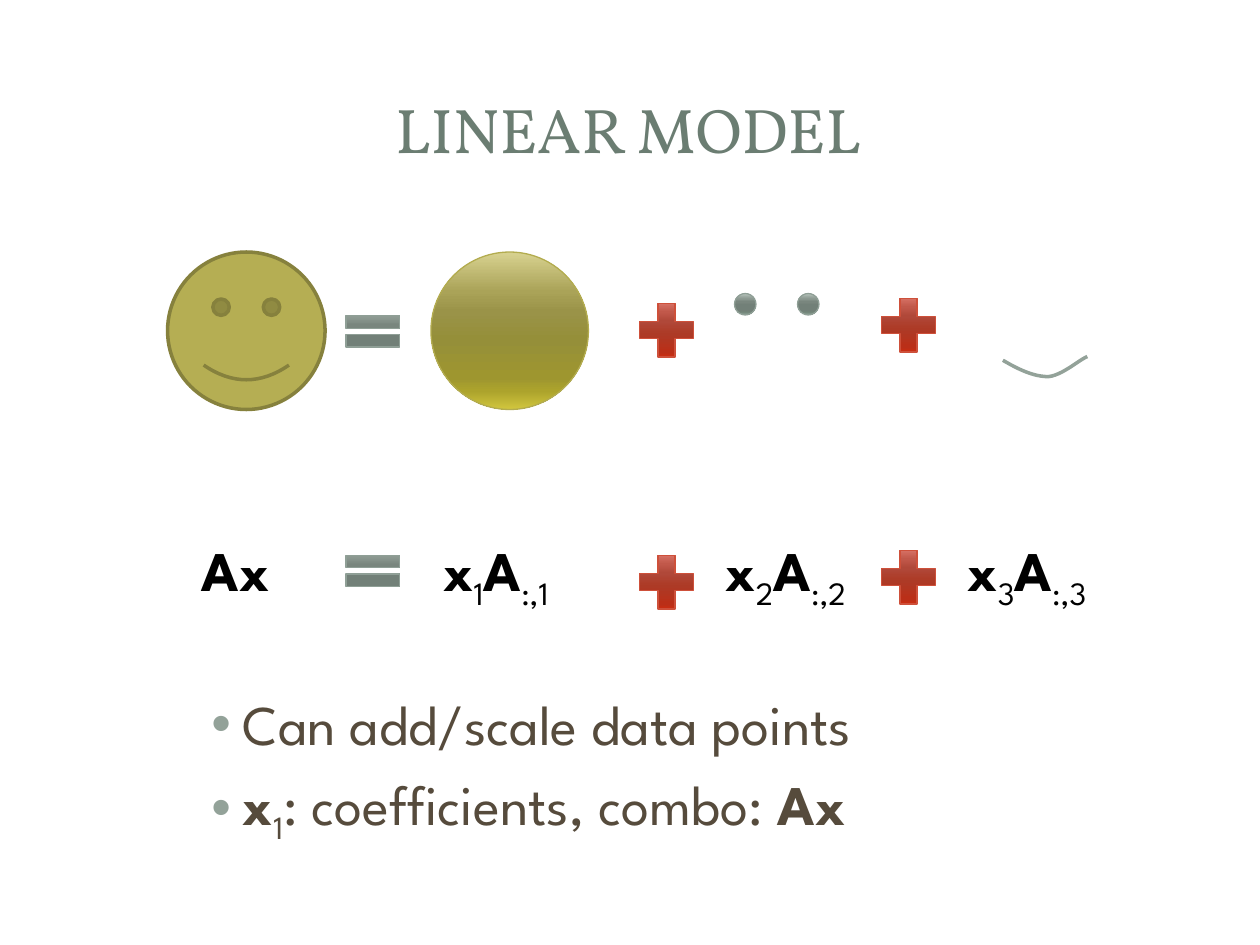
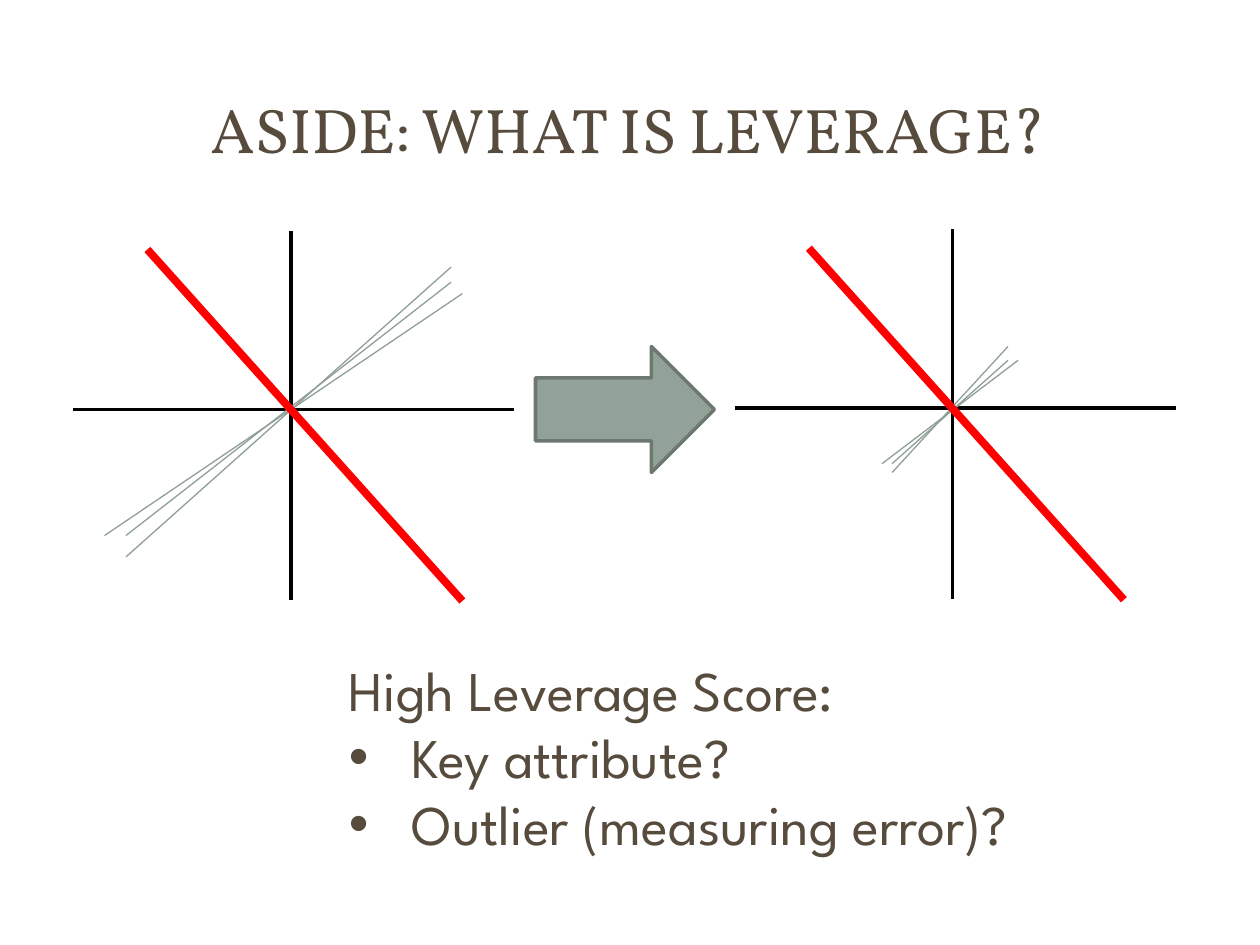
"""Build two slides: a linear model as a sum of parts, and an aside on leverage."""
import dataclasses
import typing

import lxml.etree
import pptx
import pptx.dml.color
import pptx.enum.shapes
import pptx.enum.text
import pptx.oxml.ns
import pptx.shapes.autoshape
import pptx.slide
import pptx.util

Inches = pptx.util.Inches
Pt = pptx.util.Pt
SHAPE = pptx.enum.shapes.MSO_SHAPE
qn = pptx.oxml.ns.qn


@dataclasses.dataclass(frozen=True)
class Gloss:
    """Colours of a glossy vertical gradient and its outline."""
    stops: tuple[str, ...]
    line: str


@dataclasses.dataclass(frozen=True)
class Theme:
    """Colours, fonts and sizes shared by the slides."""
    paper: str = "FFFFFF"
    ink: str = "000000"
    brown: str = "564B3C"
    title_green: str = "6B7D72"
    sage: str = "93A299"
    sage_edge: str = "6D7871"
    ray: str = "8F9F96"
    red: str = "FF0000"
    face: str = "B5AE53"
    face_edge: str = "86813D"
    title_font: str = "Vollkorn"
    body_font: str = "League Spartan"
    title_size: float = 36
    body_size: float = 32
    thin: float = 0.75
    medium: float = 2
    thick: float = 4.5
    gloss_positions: tuple[int, ...] = (0, 25, 38, 55, 80, 88, 100)
    olive: Gloss = Gloss(
        ("D8D290", "AAA358", "9A9348", "958F39", "9E962F", "ACA32C", "D0C53D"), "B3AC4F")
    grey: Gloss = Gloss(
        ("B6C3BB", "8B9890", "79867E", "728078", "708176", "75887C", "91A79A"), "8F9F96")
    brick: Gloss = Gloss(
        ("EF8E85", "C1584A", "B04839", "AD3A26", "BA2F18", "CD2C10", "F63D1F"), "CE503A")


THEME = Theme()


class Box(typing.NamedTuple):
    """Left, top, width and height in inches."""
    left: float
    top: float
    width: float
    height: float


class Point(typing.NamedTuple):
    """A position or offset in inches."""
    x: float
    y: float


class Run(typing.NamedTuple):
    """A piece of text, bold or subscript where asked."""
    text: str
    bold: bool = False
    sub: bool = False


class Para(typing.NamedTuple):
    """Runs of one paragraph with its bullet and spacing."""
    runs: tuple[Run, ...]
    hanging: tuple[float, float] | None = None
    bullet_color: str | None = None
    space_before: float = 0


class Ray(typing.NamedTuple):
    """A line given by offsets from the origin of its plot."""
    start: Point
    end: Point
    color: str = THEME.ray
    width: float = THEME.thin


AXES = (
    Ray(Point(-1.73, 0), Point(1.77, 0), THEME.ink, THEME.medium),
    Ray(Point(0, -1.42), Point(0, 1.51), THEME.ink, THEME.medium),
)
OUTLIER = Ray(Point(-1.14, -1.27), Point(1.36, 1.52), THEME.red, THEME.thick)
LONG_RAYS = (
    Ray(Point(-1.48, 1), Point(1.36, -0.92)),
    Ray(Point(-1.31, 1.17), Point(1.27, -1.13)),
    Ray(Point(-1.31, 1), Point(1.27, -1.01)),
)
SHORT_RAYS = (
    Ray(Point(-0.56, 0.44), Point(0.52, -0.38)),
    Ray(Point(-0.48, 0.51), Point(0.44, -0.49)),
    Ray(Point(-0.48, 0.44), Point(0.44, -0.38)),
)
SMILE = (
    (Point(7.96, 2.86), Point(8.08, 2.93), Point(8.2, 2.99), Point(8.32, 2.99)),
    (Point(8.32, 2.99), Point(8.43, 2.98), Point(8.56, 2.86), Point(8.63, 2.83)),
)


def rgb(color: str) -> pptx.dml.color.RGBColor:
    """Turn a hex string into a colour."""
    return pptx.dml.color.RGBColor.from_string(color)


def add_text(slide: pptx.slide.Slide, box: Box, paras: typing.Sequence[Para],
             color: str, font: str = THEME.body_font,
             size: float = THEME.body_size, title: bool = False) -> None:
    """Add a wrapping text box, centred when it is a title."""
    tf = slide.shapes.add_textbox(*map(Inches, box)).text_frame
    tf.word_wrap = True
    if title:
        tf.vertical_anchor = pptx.enum.text.MSO_ANCHOR.MIDDLE
    for i, para in enumerate(paras):
        p = tf.paragraphs[0] if i == 0 else tf.add_paragraph()
        if title:
            p.alignment = pptx.enum.text.PP_ALIGN.CENTER
        if para.space_before:
            p.space_before = Pt(para.space_before)
        if para.hanging:
            add_bullet(p, para)
        p.font.name = font
        p.font.size = Pt(size)
        p.font.color.rgb = rgb(color)
        for run in para.runs:
            r = p.add_run()
            r.text = run.text
            if run.bold:
                r.font.bold = True
            if run.sub:
                r._r.get_or_add_rPr().set("baseline", "-25000")


def add_bullet(p: typing.Any, para: Para) -> None:
    """Give a paragraph a hanging round bullet."""
    margin, indent = para.hanging
    props = p._p.get_or_add_pPr()
    props.set("marL", str(Inches(margin)))
    props.set("indent", str(Inches(indent)))
    if para.bullet_color:
        color = lxml.etree.SubElement(props, qn("a:buClr"))
        lxml.etree.SubElement(color, qn("a:srgbClr"), val=para.bullet_color)
    lxml.etree.SubElement(props, qn("a:buFont"), typeface="Arial")
    lxml.etree.SubElement(props, qn("a:buChar"), char="•")


def add_title(slide: pptx.slide.Slide, text: str, color: str) -> None:
    """Add the slide title."""
    add_text(slide, Box(0.47, 0.45, 9.03, 1.14), [Para((Run(text),))], color,
             THEME.title_font, THEME.title_size, title=True)


def add_shape(slide: pptx.slide.Slide, kind: SHAPE, box: Box, line: str,
              width: float, fill: str | None = None) -> pptx.shapes.autoshape.Shape:
    """Add an outlined preset shape with an optional solid fill."""
    sp = slide.shapes.add_shape(kind, *map(Inches, box))
    sp.shadow.inherit = False
    sp.line.color.rgb = rgb(line)
    sp.line.width = Pt(width)
    if fill:
        sp.fill.solid()
        sp.fill.fore_color.rgb = rgb(fill)
    return sp


def add_glossy(slide: pptx.slide.Slide, kind: SHAPE, box: Box, gloss: Gloss) -> None:
    """Add a preset shape with a glossy vertical gradient."""
    sp = add_shape(slide, kind, box, gloss.line, THEME.thin)
    sp.fill.gradient()
    sp.fill.gradient_angle = 270
    stops = sp._element.spPr.find(".//" + qn("a:gsLst"))
    for stop in list(stops):
        stops.remove(stop)
    for position, color in zip(THEME.gloss_positions, gloss.stops):
        stop = lxml.etree.SubElement(stops, qn("a:gs"), pos=str(position * 1000))
        lxml.etree.SubElement(stop, qn("a:srgbClr"), val=color)


def bezier(curve: typing.Sequence[Point], t: float) -> tuple[int, int]:
    """Return the point of a cubic curve at t."""
    weights = ((1 - t) ** 3, 3 * t * (1 - t) ** 2, 3 * t ** 2 * (1 - t), t ** 3)
    x, y = (sum(w * value for w, value in zip(weights, axis)) for axis in zip(*curve))
    return Inches(x), Inches(y)


def add_smile(slide: pptx.slide.Slide, steps: int = 12) -> None:
    """Draw the mouth as an open outline."""
    points = [bezier(curve, i / steps) for curve in SMILE for i in range(1, steps + 1)]
    builder = slide.shapes.build_freeform(*bezier(SMILE[0], 0))
    builder.add_line_segments(points, close=False)
    sp = builder.convert_to_shape()
    sp.shadow.inherit = False
    sp.fill.background()
    sp.line.color.rgb = rgb(THEME.sage)
    sp.line.width = Pt(THEME.medium)


def add_plot(slide: pptx.slide.Slide, origin: Point, rays: tuple[Ray, ...]) -> None:
    """Draw axes, clustered rays and the outlier around an origin."""
    for ray in (*AXES, *rays, OUTLIER):
        ends = [Inches(o + d) for point in (ray.start, ray.end)
                for o, d in zip(origin, point)]
        line = slide.shapes.add_connector(pptx.enum.shapes.MSO_CONNECTOR.STRAIGHT, *ends)
        line.line.color.rgb = rgb(ray.color)
        line.line.width = Pt(ray.width)
        lxml.etree.SubElement(line._element.spPr, qn("a:effectLst"))


def build_linear_model(slide: pptx.slide.Slide) -> None:
    """Show a face as the sum of its parts above the matching formula."""
    add_title(slide, "LINEAR MODEL", THEME.title_green)
    hanging = (0.38, -0.25)
    add_text(slide, Box(1.45, 5.42, 7.07, 1.33), [
        Para((Run("Can add/scale data points"),), hanging, THEME.sage),
        Para((Run("x", bold=True), Run("1", sub=True), Run(": coefficients, combo: "),
              Run("Ax", bold=True)), hanging, THEME.sage, 7.4),
    ], THEME.brown)
    add_shape(slide, SHAPE.SMILEY_FACE, Box(1.33, 2, 1.25, 1.25),
              THEME.face_edge, THEME.medium, THEME.face)
    add_glossy(slide, SHAPE.OVAL, Box(3.42, 2, 1.25, 1.25), THEME.olive)
    for left in (5.83, 6.33):
        add_glossy(slide, SHAPE.OVAL, Box(left, 2.33, 0.17, 0.17), THEME.grey)
    add_smile(slide)
    add_text(slide, Box(1.5, 4.2, 0.83, 0.64), [Para((Run("Ax", bold=True),))], THEME.ink)
    for i, left in enumerate((3.42, 5.66, 7.58), start=1):
        term = (Run("x", bold=True), Run(str(i), sub=True),
                Run("A", bold=True), Run(f":,{i}", sub=True))
        add_text(slide, Box(left, 4.2, 1.33, 0.64), [Para(term)], THEME.ink)
    for equal_top, plus_top in ((2.42, 2.33), (4.32, 4.33)):
        add_glossy(slide, SHAPE.MATH_EQUAL, Box(2.67, equal_top, 0.58, 0.42), THEME.grey)
        for left, rise in ((5, 0), (6.92, 0.04)):
            add_glossy(slide, SHAPE.MATH_PLUS,
                       Box(left, plus_top - rise, 0.58, 0.58), THEME.brick)


def build_leverage(slide: pptx.slide.Slide) -> None:
    """Compare long and short rays against the high-leverage line."""
    add_title(slide, "ASIDE: WHAT IS LEVERAGE?", THEME.brown)
    hanging = (0.5, -0.5)
    add_text(slide, Box(2.67, 5.15, 6.25, 1.72), [
        Para((Run("High Leverage Score:"),)),
        Para((Run("Key attribute?"),), hanging),
        Para((Run("Outlier (measuring error)?"),), hanging),
    ], THEME.brown)
    add_plot(slide, Point(2.31, 3.25), LONG_RAYS)
    add_shape(slide, SHAPE.RIGHT_ARROW, Box(4.25, 2.75, 1.42, 1),
              THEME.sage_edge, THEME.medium, THEME.sage)
    add_plot(slide, Point(7.56, 3.24), SHORT_RAYS)


def main() -> None:
    """Build and save the presentation."""
    prs = pptx.Presentation()
    prs.slide_width, prs.slide_height = Inches(10), Inches(7.5)
    for build in (build_linear_model, build_leverage):
        slide = prs.slides.add_slide(prs.slide_layouts[6])
        slide.background.fill.solid()
        slide.background.fill.fore_color.rgb = rgb(THEME.paper)
        build(slide)
    prs.save("out.pptx")


if __name__ == "__main__":
    main()
